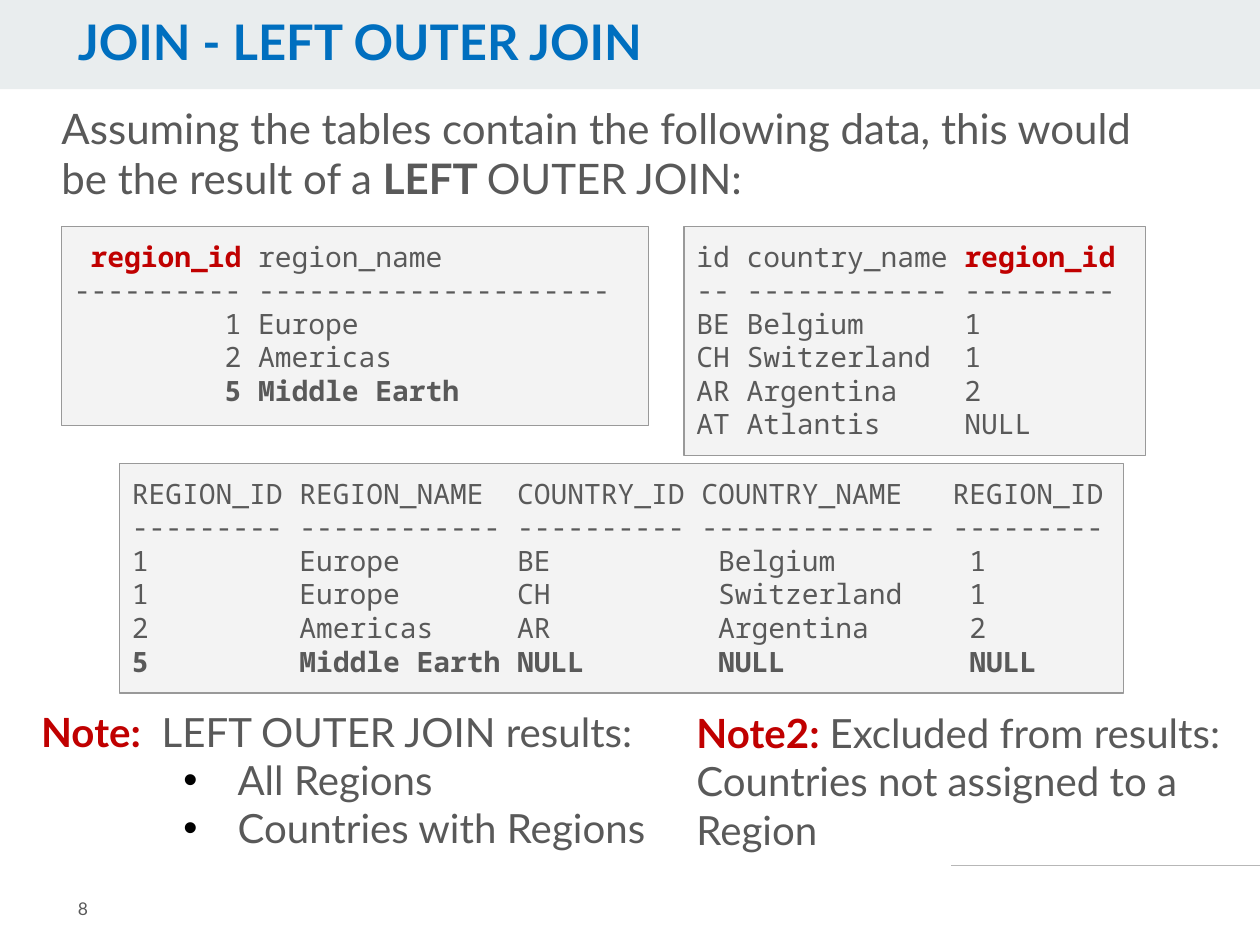
from lxml import etree
from pptx import Presentation
from pptx.dml.color import RGBColor
from pptx.enum import shapes, text
from pptx.oxml import ns
from pptx.util import Cm, Pt

# Content: each paragraph is a list of (text, style) runs
GREY, RED, BLUE = "595959", "C00000", "006FBF"
SANS, MONO = "Lato", "Noto Sans Mono"
N, B, KEY = {}, {"bold": True}, {"bold": True, "color": RED}

TITLE = [[("JOIN - LEFT OUTER JOIN", {"bold": True, "color": BLUE})]]
INTRO = [[("Assuming the tables contain the following data, "
           "this would be the result of a ", N), ("LEFT ", B), ("OUTER JOIN:", N)]]
REGIONS = [
    [(" ", N), ("region_id ", KEY), ("region_name", N)],
    [("---------- ---------------------", N)],
    [("         1 Europe", N)],
    [("         2 Americas", N)],
    [("         ", N), ("5 Middle Earth", B)],
]
COUNTRIES = [
    [("id country_name ", N), ("region_id", KEY)],
    [("-- ------------ ---------", N)],
    [("BE Belgium      1", N)],
    [("CH Switzerland  1", N)],
    [("AR Argentina    2", N)],
    [("AT Atlantis     NULL", N)],
]
RESULT = [
    [("REGION_ID REGION_NAME  COUNTRY_ID COUNTRY_NAME   REGION_ID", N)],
    [("--------- ------------ ---------- -------------- ---------", N)],
    [("1         Europe       BE          Belgium        1", N)],
    [("1         Europe       CH          Switzerland    1", N)],
    [("2         Americas     AR          Argentina      2", N)],
    [("5         Middle Earth NULL        NULL           NULL", B)],
]
NOTE = [[("Note:\t", KEY), ("LEFT OUTER JOIN results:", N)],
        [("All Regions", N)], [("Countries with Regions", N)]]
NOTE2 = [[("Note2: ", KEY),
          ("Excluded from results: Countries not assigned to a Region", N)]]

# Boxes in cm: left, top, width, height
CODE_BOXES = [(REGIONS, (1.24, 4.57, 11.84, 4.01)),
              (COUNTRIES, (13.79, 4.57, 9.3, 4.62)),
              (RESULT, (2.41, 9.35, 20.24, 4.62))]
TEXT_BOXES = [(INTRO, (0.99, 1.93, 23.14, 2.51), 24),
              (NOTE, (0.58, 14.12, 12.88, 4.19), 23),
              (NOTE2, (13.79, 14.15, 11.28, 4.19), 23)]
NUMBER_BOX = (1.32, 17.6, 3.12, 1.45)


def rgb(value):
    return RGBColor.from_string(value)


def cm(box):
    return [Cm(v) for v in box]


def add_child(parent, tag, **attrs):
    return etree.SubElement(parent, ns.qn(tag), attrs)


def write(sp, paragraphs, size, font=SANS, pad=0.13, anchor="TOP"):
    tf = sp.text_frame
    frame = {"word_wrap": True, "auto_size": text.MSO_AUTO_SIZE.NONE,
             "vertical_anchor": getattr(text.MSO_ANCHOR, anchor),
             "margin_left": Cm(0.25), "margin_right": Cm(0.25),
             "margin_top": Cm(pad), "margin_bottom": Cm(pad)}
    for name, value in frame.items():
        setattr(tf, name, value)
    for i, runs in enumerate(paragraphs):
        p = tf.paragraphs[0] if i == 0 else tf.add_paragraph()
        p.alignment = text.PP_ALIGN.LEFT
        for words, style in runs:
            r = p.add_run()
            r.text = words
            look = {"name": font, "size": Pt(size), "bold": style.get("bold", False)}
            for name, value in look.items():
                setattr(r.font, name, value)
            r.font.color.rgb = rgb(style.get("color", GREY))
    return tf


def add_rect(box, fill, line=None):
    sp = s.shapes.add_shape(shapes.MSO_SHAPE.RECTANGLE, *cm(box))
    sp.shadow.inherit = False
    sp.fill.solid()
    sp.fill.fore_color.rgb = rgb(fill)
    if line:
        sp.line.color.rgb = rgb(line)
        sp.line.width = Pt(0.75)
    else:
        sp.line.fill.background()
    return sp


prs = Presentation()
prs.slide_width, prs.slide_height = Cm(25.4), Cm(19.05)
s = prs.slides.add_slide(prs.slide_layouts[5])

# Header band, behind the title
band = add_rect((0, 0, 25.4, 1.8), "E9EDEE")
s.shapes._spTree.insert(2, band._element)

# Title
title = s.shapes.title
title.left, title.top, title.width, title.height = cm((1.32, 0.23, 20.02, 1.4))
write(title, TITLE, 28).paragraphs[0].line_spacing = 0.9

# Footer rule and slide number
rule = s.shapes.add_connector(shapes.MSO_CONNECTOR.STRAIGHT,
                              *cm((19.18, 17.45, 25.4, 17.45)))
rule.line.color.rgb = rgb("B7B7B7")
rule.line.width = Pt(0.75)
add_child(rule._element.spPr, "a:effectLst")
write(s.shapes.add_textbox(*cm(NUMBER_BOX)), [[("8", N)]], 10, pad=0.25, anchor="MIDDLE")

# Query listings
for rows, box in CODE_BOXES:
    write(add_rect(box, "F3F3F3", "999999"), rows, 16, MONO, pad=0.25)

# Running text
frames = [write(s.shapes.add_textbox(*cm(box)), paragraphs, size)
          for paragraphs, box, size in TEXT_BOXES]

# Tab after the note label, bullets below it
first, *bullets = frames[1].paragraphs
tabs = add_child(first._p.get_or_add_pPr(), "a:tabLst")
add_child(tabs, "a:tab", pos=str(Cm(2.43)), algn="l")
for p in bullets:
    pPr = p._p.get_or_add_pPr()
    pPr.set("marL", str(Cm(3.96)))
    pPr.set("indent", str(Cm(-1.09)))
    add_child(add_child(pPr, "a:buClr"), "a:srgbClr", val="000000")
    add_child(pPr, "a:buFont", typeface="Arial")
    add_child(pPr, "a:buChar", char="•")

prs.save("out.pptx")
